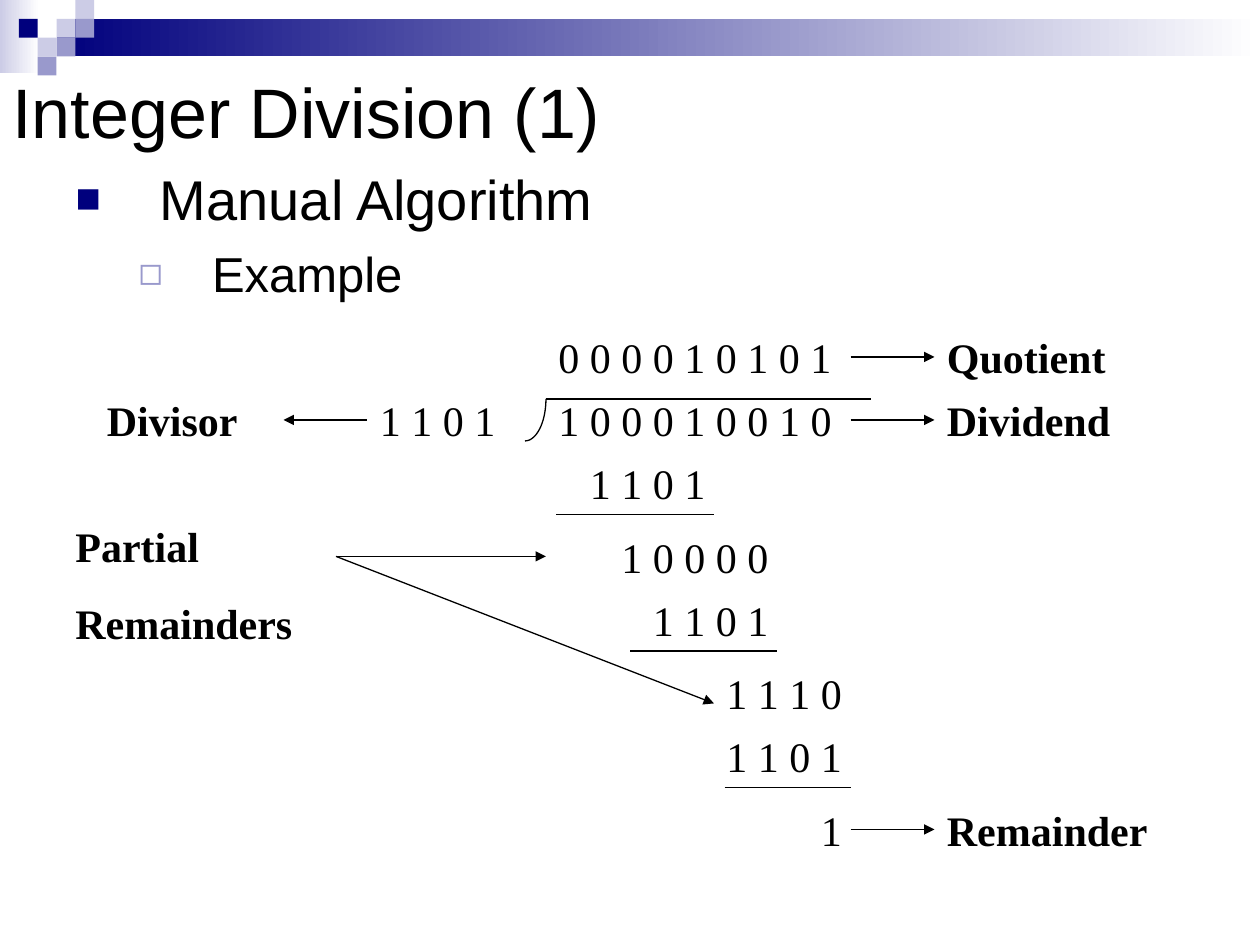
import math

from lxml import etree
from pptx import Presentation
from pptx.dml.color import RGBColor
from pptx.enum.shapes import MSO_CONNECTOR, MSO_SHAPE
from pptx.enum.text import MSO_ANCHOR, MSO_AUTO_SIZE, PP_ALIGN
from pptx.oxml.ns import qn
from pptx.util import Cm, Pt

RECTANGLE = MSO_SHAPE.RECTANGLE
STRAIGHT = MSO_CONNECTOR.STRAIGHT
MIDDLE, TOP = MSO_ANCHOR.MIDDLE, MSO_ANCHOR.TOP
NO_AUTOFIT = MSO_AUTO_SIZE.NONE
LEFT = PP_ALIGN.LEFT

BLACK = RGBColor(0x00, 0x00, 0x00)
WHITE = RGBColor(0xFF, 0xFF, 0xFF)
NAVY = RGBColor(0x00, 0x00, 0x7D)
LILAC = RGBColor(0xCC, 0xCC, 0xE6)
VIOLET = RGBColor(0x99, 0x99, 0xCC)

UNIT = 2.54 / 12
DIGIT_PITCH = 3
ROW_HEIGHT = 6
DIGIT_HEIGHT = 10.8


def grid(count):
    return Cm(count * UNIT)


def style(para, font, size, bold=False):
    for span in para.runs:
        span.font.name = font
        span.font.size = Pt(size)
        span.font.bold = bold
        span.font.color.rgb = BLACK


def place(shape, left, top, width, height):
    shape.left, shape.top = left, top
    shape.width, shape.height = width, height


def add_tile(page, left, top, width, height, colour, fade=False):
    tile = page.shapes.add_shape(RECTANGLE, left, top, width, height)
    tile.shadow.inherit = False
    tile.line.fill.background()
    if fade:
        tile.fill.gradient()
        tile.fill.gradient_angle = 0
        for stop, shade in zip(tile.fill.gradient_stops, (colour, WHITE)):
            stop.color.rgb = shade
    else:
        tile.fill.solid()
        tile.fill.fore_color.rgb = colour


def add_header_band(page, left, top, width):
    side = Cm(0.38)
    add_tile(page, left, top, Cm(0.79), Cm(1.47), LILAC, fade=True)
    add_tile(page, left + 3 * side, top + side, width - 3 * side, 2 * side, NAVY, fade=True)
    tiles = ((3, 1, LILAC), (4, 0, LILAC), (4, 1, VIOLET), (2, 2, LILAC),
             (1, 1, NAVY), (3, 2, VIOLET), (2, 3, VIOLET))
    for column, row, colour in tiles:
        add_tile(page, left + column * side, top + row * side, side, side, colour)


def fill_title(page, left, top, width, height):
    title = page.shapes.title
    place(title, left, top, width, height)
    frame = title.text_frame
    frame.text = "Integer Division (1)"
    frame.auto_size = NO_AUTOFIT
    frame.vertical_anchor = MIDDLE
    frame.paragraphs[0].alignment = LEFT
    style(frame.paragraphs[0], "Arial", 40)


def add_bullet(para, symbol, colour, percent, margin, hanging):
    properties = para._p.get_or_add_pPr()
    properties.set("marL", str(margin))
    properties.set("indent", str(-hanging))
    tint = etree.SubElement(properties, qn("a:buClr"))
    etree.SubElement(tint, qn("a:srgbClr"), val=str(colour))
    etree.SubElement(properties, qn("a:buSzPct"), val=str(percent * 1000))
    etree.SubElement(properties, qn("a:buFont"), typeface="Arial")
    etree.SubElement(properties, qn("a:buChar"), char=symbol)


def fill_outline(page, left, top, width, height):
    body = page.placeholders[1]
    place(body, left, top, width, height)
    frame = body.text_frame
    frame.text = "Manual Algorithm\nExample"
    frame.auto_size = NO_AUTOFIT
    frame.vertical_anchor = TOP
    heading, detail = frame.paragraphs
    detail.level = 1
    add_bullet(heading, "■", NAVY, 75, Cm(1.7), Cm(1.7))
    add_bullet(detail, "◻", VIOLET, 80, Cm(2.75), Cm(1.48))
    heading.space_before = Pt(0)
    detail.space_before = Pt(7)
    style(heading, "Arial", 32)
    style(detail, "Arial", 28)


def add_division(page, left, top):
    def write(text, column, row, width, height=ROW_HEIGHT, bold=False):
        box = page.shapes.add_textbox(left + grid(column), top + grid(row),
                                      grid(width), grid(height))
        frame = box.text_frame
        frame.word_wrap = True
        frame.text = text
        for index, para in enumerate(frame.paragraphs):
            para.space_before = Pt(15 if index else 0)
            style(para, "Times New Roman", 24, bold)

    def write_digits(digits, column, row):
        for index, digit in enumerate(digits):
            width = 4 if digit == "1" else 5
            write(digit, column + index * DIGIT_PITCH, row, width, DIGIT_HEIGHT)

    def pen(shape):
        shape.line.color.rgb = BLACK
        shape.line.width = Pt(0.75)

    def draw(start, end, arrow=None):
        rule = page.shapes.add_connector(
            STRAIGHT, left + grid(start[0]), top + grid(start[1]),
            left + grid(end[0]), top + grid(end[1]))
        pen(rule)
        if arrow:
            etree.SubElement(rule.line._get_or_add_ln(), qn(arrow), type="triangle")
        etree.SubElement(rule._element.spPr, qn("a:effectLst"))

    def draw_bracket(column, row, width, height):
        angles = [math.radians(degree) for degree in range(0, 91, 5)]
        points = [(left + grid(column + width * math.cos(angle)),
                   top + grid(row + height * math.sin(angle))) for angle in angles]
        builder = page.shapes.build_freeform(*points[0])
        builder.add_line_segments(points[1:], close=False)
        bracket = builder.convert_to_shape()
        bracket.shadow.inherit = False
        bracket.fill.background()
        pen(bracket)

    numbers = (("1 0 0 0 1 0 0 1 0", 46, 6, 46), ("1 1 0 1", 29, 6, 15),
               ("1 1 0 1", 49, 12, 15), ("1 0 0", 52, 19, 11),
               ("1 1 0 1", 55, 25, 15), ("1 1", 62, 32, 9),
               ("1 1 0 1", 62, 38, 15), ("1", 71, 45, 15))
    for number in numbers:
        write(*number)

    labels = (("Quotient", 83, 0, 20), ("Dividend", 83, 6, 20), ("Divisor", 3, 6, 20),
              ("Remainder", 83, 45, 26), ("Partial\nRemainders", 0, 18, 26, 13.3))
    for label in labels:
        write(*label, bold=True)

    draw_bracket(44, 7, 2, 4)
    for start, end, row in ((46, 77, 7), (47, 62, 18), (54, 68, 31), (63, 75, 44)):
        draw((start, row), (end, row))
    for row in (3, 9, 48):
        draw((75, row), (83, row), "a:tailEnd")
    draw((21, 9), (29, 9), "a:headEnd")
    for target in ((46, 22), (62, 36)):
        draw((26, 22), target, "a:tailEnd")

    write_digits("000010101", 46, 0)
    write_digits("00", 61, 19)
    write_digits("10", 68, 32)


def main():
    deck = Presentation()
    deck.slide_width, deck.slide_height = Cm(25.4), Cm(19.05)
    page = deck.slides.add_slide(deck.slide_layouts[1])
    add_header_band(page, Cm(0), Cm(0), deck.slide_width)
    fill_title(page, Cm(0), Cm(0.85), deck.slide_width, Cm(2.75))
    fill_outline(page, Cm(1.27), Cm(3.18), Cm(22.43), Cm(15.24))
    add_division(page, Cm(1.27), Cm(6.56))
    deck.save("out.pptx")


if __name__ == "__main__":
    main()
